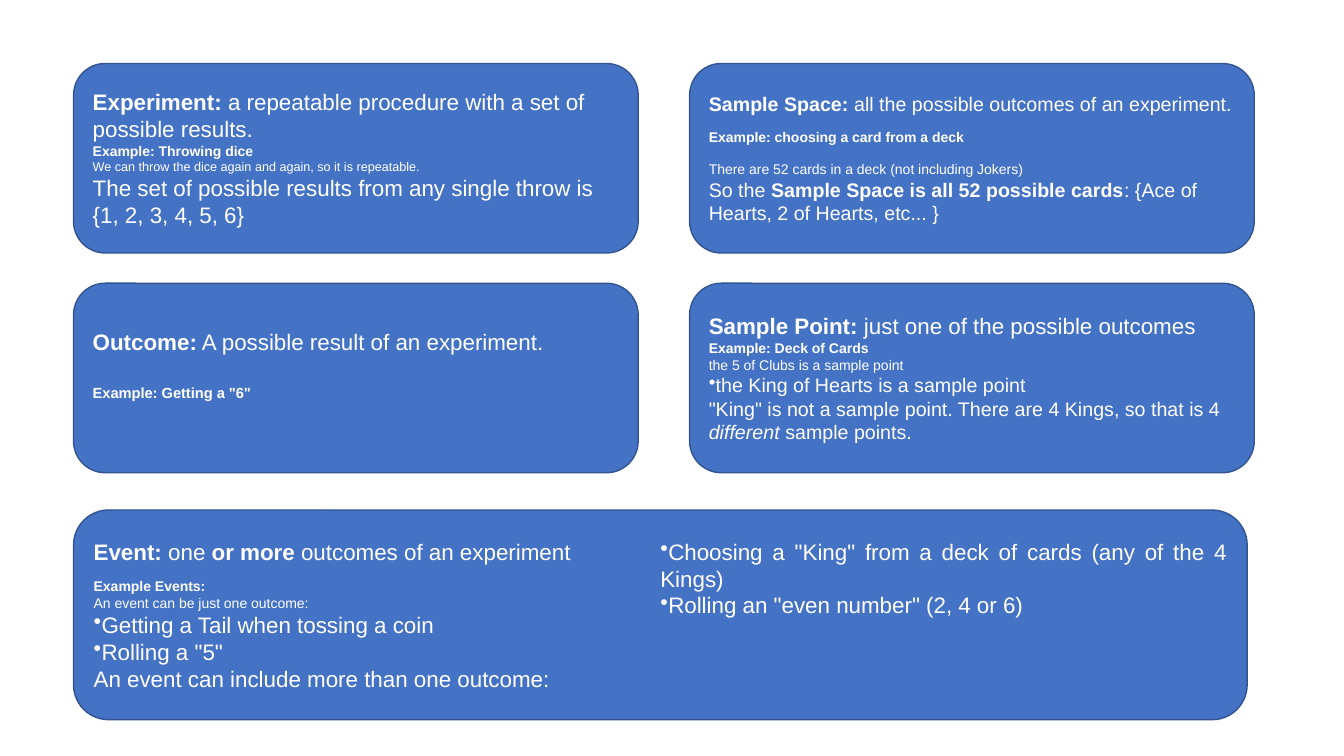
import pptx
import pptx.util
import pptx.dml.color
import pptx.enum.shapes
import pptx.enum.text
from lxml import etree
from pptx.util import Inches, Pt

NS = "http://schemas.openxmlformats.org/drawingml/2006/main"


def color(code):
    return pptx.dml.color.RGBColor.from_string(code)


class Deck:
    font, ink, fill, edge = "Arial", "FFFFFF", "4472C4", "325491"

    def __init__(self):
        self.prs = pptx.Presentation()
        self.prs.slide_width = Inches(13.33)
        self.prs.slide_height = Inches(7.5)
        self.slide = self.prs.slides.add_slide(self.prs.slide_layouts[6])

    def card(self, left, top, width, height, lines, foot=0.05, cols=1):
        """Draw a rounded card; foot is its bottom text margin."""
        box = self.slide.shapes.add_shape(
            pptx.enum.shapes.MSO_SHAPE.ROUNDED_RECTANGLE,
            Inches(left), Inches(top), Inches(width), Inches(height))
        box.shadow.inherit = False
        box.fill.solid()
        box.fill.fore_color.rgb = color(self.fill)
        box.line.color.rgb = color(self.edge)
        box.line.width = Pt(1)
        frame = box.text_frame
        frame.word_wrap = True
        frame.vertical_anchor = pptx.enum.text.MSO_ANCHOR.MIDDLE
        frame.margin_bottom = Inches(foot)
        align = pptx.enum.text.PP_ALIGN.LEFT
        if cols > 1:
            frame._txBody.bodyPr.set("numCol", str(cols))
            align = pptx.enum.text.PP_ALIGN.JUSTIFY
        for i, line in enumerate(lines):
            para = frame.add_paragraph() if i else frame.paragraphs[0]
            para.alignment = align
            self.text(para, *line)

    def text(self, para, size, words, gap=0):
        """Fill a paragraph; ** toggles bold, __ italic, a leading • a bullet."""
        if gap:
            para.space_before = Pt(gap)
        if words.startswith("•"):
            words = words[1:]
            props = para._p.get_or_add_pPr()
            props.set("marL", "0")
            props.set("indent", "0")
            etree.SubElement(props, f"{{{NS}}}buChar", char="•")
        for i, part in enumerate(words.split("**")):
            for j, piece in enumerate(part.split("__")):
                if piece:
                    run = para.add_run()
                    run.text = piece
                    run.font.name = self.font
                    run.font.size = Pt(size)
                    run.font.color.rgb = color(self.ink)
                    run.font.bold = i % 2 == 1
                    run.font.italic = j % 2 == 1


TRIAL = [
    (16, "**Experiment: **a repeatable procedure with a set of possible results."),
    (10, "**Example: Throwing dice**"),
    (9, "We can throw the dice again and again, so it is repeatable."),
    (16, "The set of possible results from any single throw is {1, 2, 3, 4, 5, 6}"),
]
SPACE = [
    (14, "**Sample Space:** all the possible outcomes of an experiment."),
    (10, "**Example: choosing a card from a deck**", 9.2),
    (10, "There are 52 cards in a deck (not including Jokers)", 11.5),
    (14, "So the** Sample Space is all 52 possible cards**: "
         "{Ace of Hearts, 2 of Hearts, etc... }"),
]
RESULT = [
    (16, "**Outcome:** A possible result of an experiment."),
    (10.5, "**Example: Getting a \"6\"**", 20.7),
]
POINT = [
    (16, "**Sample Point:** just one of the possible outcomes"),
    (10, "**Example: Deck of Cards**"),
    (10, "the 5 of Clubs is a sample point"),
    (14, "•the King of Hearts is a sample point"),
    (14, "\"King\" is not a sample point. There are 4 Kings, so that is 4 "
         "__different__ sample points."),
]
EVENT = [
    (16, "**Event:** one **or more** outcomes of an experiment"),
    (10, "**Example Events:**", 9.2),
    (10, "An event can be just one outcome:"),
    (16, "•Getting a Tail when tossing a coin"),
    (16, "•Rolling a \"5\""),
    (16, "An event can include more than one outcome:"),
    (16, "•Choosing a \"King\" from a deck of cards (any of the 4 Kings)"),
    (16, "•Rolling an \"even number\" (2, 4 or 6)"),
]


def main():
    deck = Deck()
    left, top, wide, high = 0.73, 0.63, 5.6, 1.88
    step_x, step_y = 6.11, 2.18
    cards = [(TRIAL, 0.05), (SPACE, 0.05), (RESULT, 0.31), (POINT, 0.05)]
    for i, (lines, foot) in enumerate(cards):
        row, col = divmod(i, 2)
        deck.card(left + col * step_x, top + row * step_y, wide, high, lines, foot)
    deck.card(left, 5.06, 11.64, 2.08, EVENT, cols=2)
    deck.prs.save("out.pptx")


if __name__ == "__main__":
    main()
